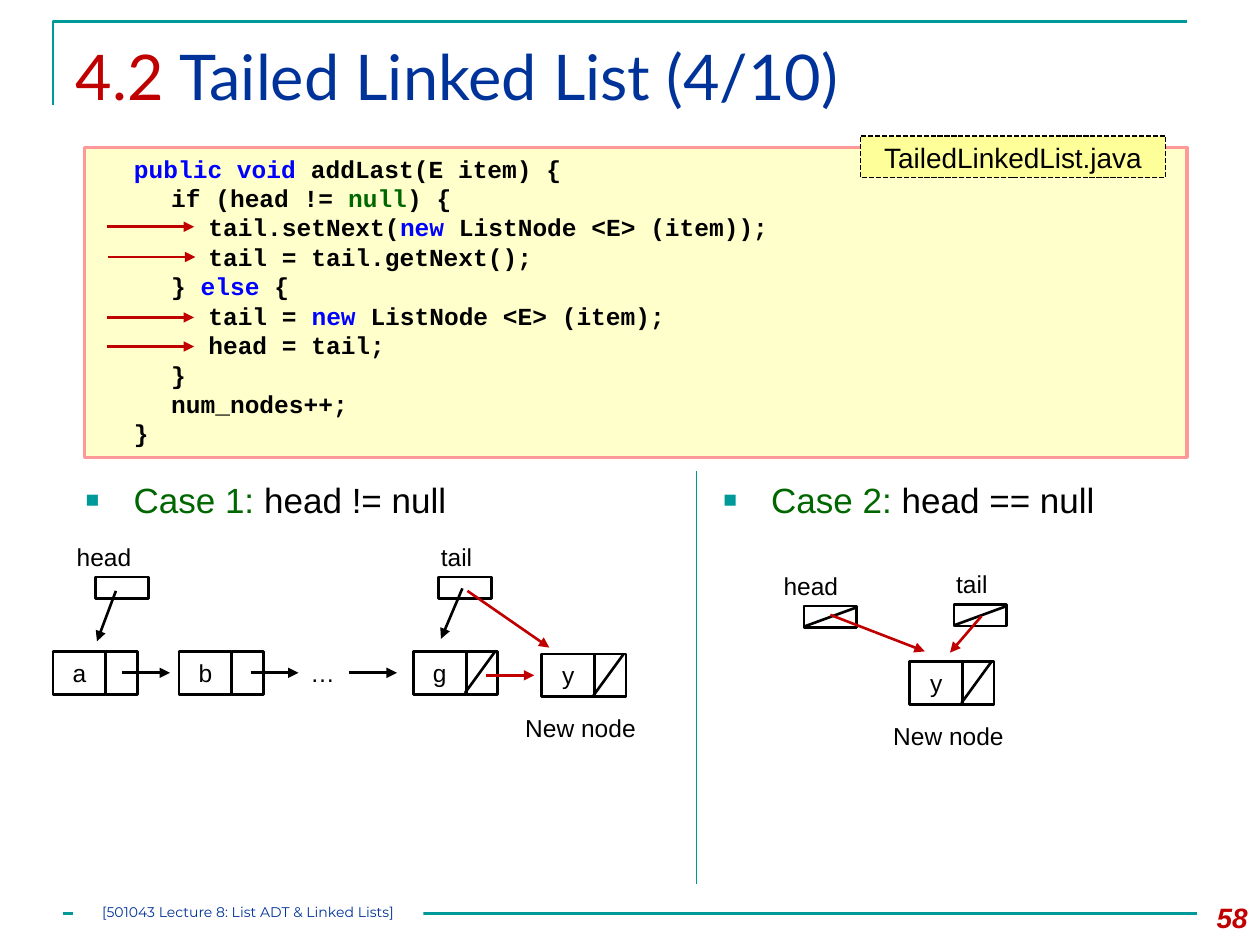
import pptx
import pptx.util
from pptx.dml.color import RGBColor
from pptx.enum.dml import MSO_LINE
from pptx.enum.shapes import MSO_CONNECTOR, MSO_SHAPE
from pptx.enum.text import MSO_ANCHOR, MSO_AUTO_SIZE, PP_ALIGN
from pptx.oxml.ns import qn
from lxml import etree

Inches = pptx.util.Inches
Pt = pptx.util.Pt

BLACK = RGBColor(0x00, 0x00, 0x00)
WHITE = RGBColor(0xFF, 0xFF, 0xFF)
TEAL = RGBColor(0x00, 0x99, 0x99)
DIVIDER = RGBColor(0x00, 0x96, 0x96)
NAVY = RGBColor(0x00, 0x33, 0x99)
RED = RGBColor(0xC0, 0x00, 0x00)
GREEN = RGBColor(0x00, 0x66, 0x00)
KEYWORD = RGBColor(0x00, 0x00, 0xFF)
CODE_FILL = RGBColor(0xFF, 0xFF, 0xCC)
CODE_EDGE = RGBColor(0xFF, 0x99, 0x99)
FILE_FILL = RGBColor(0xFF, 0xFF, 0x99)

LABEL = {"name": "Arial", "size": Pt(14)}
CODE = {"name": "Courier New", "size": Pt(14), "bold": True}
CELL_W, LINK_W, NODE_H = 0.42, 0.25, 0.34
TAB = 0.295

# Each line: indent level, then (text, colour) runs
CODE_LINES = [
    (1, [("public void ", KEYWORD), ("addLast(E item) {", BLACK)]),
    (2, [("if (head != ", BLACK), ("null", GREEN), (") {", BLACK)]),
    (3, [("tail.setNext(", BLACK), ("new", KEYWORD), (" ListNode <E> (item));", BLACK)]),
    (3, [("tail = tail.getNext();", BLACK)]),
    (2, [("} ", BLACK), ("else", KEYWORD), (" {", BLACK)]),
    (3, [("tail = ", BLACK), ("new", KEYWORD), (" ListNode <E> (item);", BLACK)]),
    (3, [("head = tail;", BLACK)]),
    (2, [("}", BLACK)]),
    (2, [("num_nodes++;", BLACK)]),
    (1, [("}", BLACK)]),
]


def add_runs(p, runs, style):
    for text, color in runs:
        r = p.add_run()
        r.text = text
        for key, value in style.items():
            setattr(r.font, key, value)
        r.font.color.rgb = color


def place(sp, x, y, w, h):
    sp.left, sp.top, sp.width, sp.height = (Inches(v) for v in (x, y, w, h))


def add_box(s, x, y, w, h, fill=None, line=BLACK, width=1.5):
    sp = s.shapes.add_shape(MSO_SHAPE.RECTANGLE, *(Inches(v) for v in (x, y, w, h)))
    sp.shadow.inherit = False
    if fill is None:
        sp.fill.background()
    else:
        sp.fill.solid()
        sp.fill.fore_color.rgb = fill
    if line is None:
        sp.line.fill.background()
    else:
        sp.line.color.rgb = line
        sp.line.width = Pt(width)
    tf = sp.text_frame
    tf.word_wrap = True
    tf.vertical_anchor = MSO_ANCHOR.TOP
    return sp


def add_line(s, x1, y1, x2, y2, color=BLACK, width=1.5, arrow=False):
    c = s.shapes.add_connector(MSO_CONNECTOR.STRAIGHT, *(Inches(v) for v in (x1, y1, x2, y2)))
    c.line.color.rgb = color
    c.line.width = Pt(width)
    if arrow:
        etree.SubElement(c.line._get_or_add_ln(), qn("a:tailEnd"), type="triangle")
    etree.SubElement(c._element.spPr, qn("a:effectLst"))


def add_label(s, x, y, w, h, text, align=PP_ALIGN.LEFT, style=LABEL, color=BLACK):
    tf = s.shapes.add_textbox(*(Inches(v) for v in (x, y, w, h))).text_frame
    tf.word_wrap = True
    tf.paragraphs[0].alignment = align
    add_runs(tf.paragraphs[0], [(text, color)], style)


def add_frame(s, x, y, w, h):
    """Corner rule at the top left and rule along the foot."""
    corner = s.shapes.build_freeform(Inches(x), Inches(y + 0.66))
    corner.add_line_segments([(Inches(x), Inches(y)), (Inches(x + w), Inches(y))], close=False)
    sp = corner.convert_to_shape()
    sp.shadow.inherit = False
    sp.fill.background()
    sp.line.color.rgb = TEAL
    sp.line.width = Pt(1.5)
    add_line(s, x + 0.08, y + h, x + w + 0.08, y + h, TEAL)


def add_title(s, x, y, w, h):
    title = s.shapes.title
    place(title, x, y, w, h)
    tf = title.text_frame
    tf.auto_size = MSO_AUTO_SIZE.NONE
    tf.vertical_anchor = MSO_ANCHOR.TOP
    p = tf.paragraphs[0]
    p.alignment = PP_ALIGN.LEFT
    add_runs(p, [("4.2 ", RED), ("Tailed Linked List (4/10)", NAVY)],
             {"name": "Lato", "size": Pt(36)})


def add_case(body, x, y, w, h, name, condition):
    place(body, x, y, w, h)
    tf = body.text_frame
    tf.auto_size = MSO_AUTO_SIZE.NONE
    p = tf.paragraphs[0]
    pPr = p._p.get_or_add_pPr()
    pPr.set("marL", str(Inches(0.38)))
    pPr.set("indent", str(-Inches(0.38)))
    color = etree.SubElement(pPr, qn("a:buClr"))
    etree.SubElement(color, qn("a:srgbClr"), val=str(TEAL))
    etree.SubElement(pPr, qn("a:buSzPct"), val="65000")
    etree.SubElement(pPr, qn("a:buFont"), typeface="Arial")
    etree.SubElement(pPr, qn("a:buChar"), char="■")
    p.space_before = Pt(0)
    add_runs(p, [(name, GREEN), (condition, BLACK)], {"name": "Arial", "size": Pt(20)})


def add_code(s, x, y, w, h):
    tf = add_box(s, x, y, w, h, CODE_FILL, CODE_EDGE, 2).text_frame
    for i, (level, runs) in enumerate(CODE_LINES):
        p = tf.add_paragraph() if i else tf.paragraphs[0]
        tabs = etree.SubElement(p._p.get_or_add_pPr(), qn("a:tabLst"))
        for stop in range(1, 5):
            etree.SubElement(tabs, qn("a:tab"), pos=str(Inches(TAB * stop)), algn="l")
        p.alignment = PP_ALIGN.LEFT
        (first, color), *rest = runs
        add_runs(p, [("\t" * level + first, color)] + rest, CODE)
    tag = add_box(s, x + 6.16, y - 0.09, 2.42, 0.33, FILE_FILL, BLACK, 1)
    tag.line.dash_style = MSO_LINE.SQUARE_DOT
    tag.text_frame.vertical_anchor = MSO_ANCHOR.MIDDLE
    p = tag.text_frame.paragraphs[0]
    p.alignment = PP_ALIGN.CENTER
    add_runs(p, [("TailedLinkedList.java", BLACK)], {"name": "Arial", "size": Pt(16)})
    for dx, dy in [(0.18, 0.63), (0.19, 0.87), (0.18, 1.35), (0.18, 1.58)]:
        add_line(s, x + dx, y + dy, x + dx + 0.69, y + dy, RED, arrow=True)


def add_reference(s, x, y, name, label_dx, label_w, null=False):
    """Named pointer box, struck through when null."""
    add_label(s, x + label_dx, y - 0.33, label_w, 0.34, name)
    add_box(s, x, y, 0.42, 0.17, WHITE)
    if null:
        add_line(s, x + 0.01, y + 0.16, x + 0.42, y + 0.01)


def add_node(s, x, y, item, last=False, caption=None):
    p = add_box(s, x, y, CELL_W, NODE_H).text_frame.paragraphs[0]
    p.alignment = PP_ALIGN.CENTER
    add_runs(p, [(item, BLACK)], LABEL)
    add_box(s, x + CELL_W, y, LINK_W, NODE_H)
    if last:
        add_line(s, x + 0.41, y + 0.33, x + 0.65, y)
    if caption:
        add_label(s, x - 0.23, y + 0.42, 1.11, 0.34, caption)


def add_tail_case(s, x, y):
    """Append to a list that already holds nodes."""
    add_reference(s, x + 0.34, y + 0.33, "head", -0.25, 0.75)
    add_reference(s, x + 3.06, y + 0.33, "tail", -0.08, 0.55)
    for dx, item in [(0, "a"), (1, "b"), (2.86, "g")]:
        add_node(s, x + dx, y + 0.92, item, last=item == "g")
    add_label(s, x + 1.9, y + 0.92, 0.48, 0.34, "…", PP_ALIGN.CENTER)
    add_node(s, x + 3.88, y + 0.94, "y", True, "New node")
    for dx in (0.55, 1.57, 2.35):
        add_line(s, x + dx, y + 1.09, x + dx + 0.38, y + 1.09, arrow=True)
    add_line(s, x + 0.5, y + 0.44, x + 0.35, y + 0.84, arrow=True)
    add_line(s, x + 3.25, y + 0.42, x + 3.08, y + 0.82, arrow=True)
    add_line(s, x + 3.44, y + 1.11, x + 3.82, y + 1.11, RED, arrow=True)
    add_line(s, x + 3.29, y + 0.44, x + 3.94, y + 0.89, RED, arrow=True)


def add_empty_case(s, x, y):
    """Append to an empty list."""
    add_reference(s, x + 0.26, y + 0.34, "head", -0.26, 0.75, null=True)
    add_reference(s, x + 1.45, y + 0.33, "tail", -0.08, 0.55, null=True)
    add_node(s, x + 1.1, y + 0.78, "y", True, "New node")
    add_line(s, x + 1.67, y + 0.42, x + 1.42, y + 0.71, RED, arrow=True)
    add_line(s, x + 0.47, y + 0.41, x + 1.22, y + 0.7, RED, arrow=True)


def add_footer(s, x, y, w, h):
    tf = add_box(s, x, y, w, h, WHITE, None).text_frame
    for side in ("left", "top", "right", "bottom"):
        setattr(tf, f"margin_{side}", 0)
    tf.paragraphs[0].alignment = PP_ALIGN.CENTER
    add_runs(tf.paragraphs[0], [("[501043 Lecture 8: List ADT & Linked Lists]", NAVY)],
             {"name": "Montserrat", "size": Pt(8)})
    add_label(s, 9.33, y - 0.07, 0.67, 0.4, "58", PP_ALIGN.RIGHT,
              {"name": "Arial", "size": Pt(16), "bold": True, "italic": True}, RED)


def main():
    prs = pptx.Presentation()
    prs.slide_width, prs.slide_height = Inches(10), Inches(7.5)
    s = prs.slides.add_slide(prs.slide_layouts[3])
    add_frame(s, 0.42, 0.17, 9, 7.08)
    add_title(s, 0.5, 0.25, 9, 0.86)
    add_code(s, 0.67, 1.17, 8.75, 2.46)
    add_case(s.placeholders[1], 0.58, 3.75, 4.2, 0.5, "Case 1: ", "head != null")
    add_tail_case(s, 0.42, 4.25)
    add_line(s, 5.53, 3.74, 5.53, 7.02, DIVIDER, 0.75)
    add_case(s.placeholders[2], 5.64, 3.75, 3.47, 0.5, "Case 2: ", "head == null")
    add_empty_case(s, 6.12, 4.47)
    add_footer(s, 0.58, 7.17, 2.78, 0.2)
    prs.save("out.pptx")


if __name__ == "__main__":
    main()
